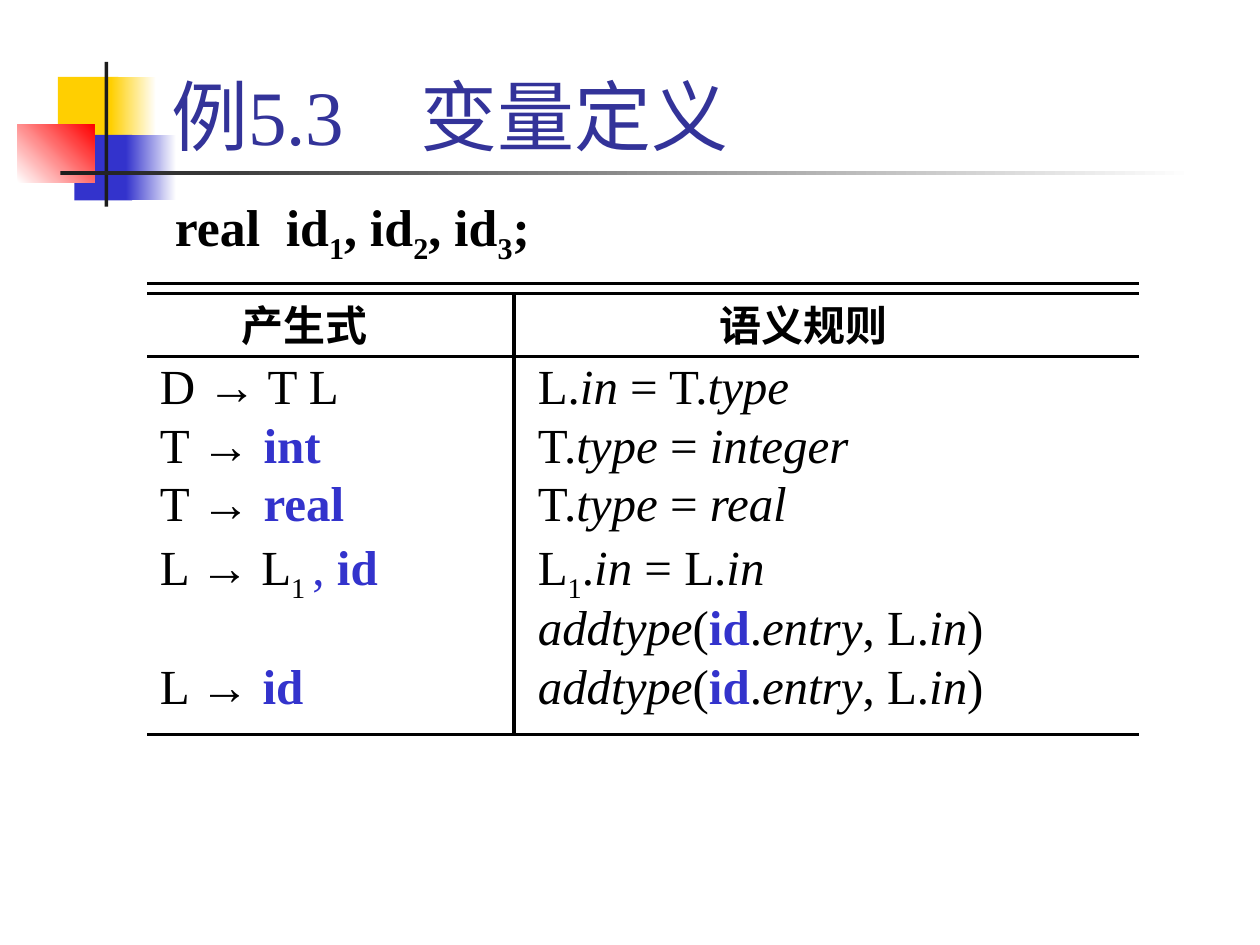
from lxml.etree import SubElement as Sub
from pptx import Presentation
from pptx.dml.color import RGBColor as RGB
from pptx.enum.shapes import MSO_CONNECTOR as LINK, MSO_SHAPE as SHAPE
from pptx.enum.text import MSO_ANCHOR as ANCHOR, PP_ALIGN as ALIGN
from pptx.oxml.ns import qn
from pptx.util import Inches, Pt

COLORS = {
    "gold": "FFCF01", "blue": "3333CC", "red": "FF0000", "white": "FFFFFF",
    "dark": "1C1C1C", "title": "333399", "black": "000000",
}

# Run styles for the grammar and its rules
STYLES = {
    "plain": {},
    "ital": {"italic": True},
    "key": {"bold": True, "color": "blue"},
    "mark": {"color": "blue"},
    "sub": {"base": -25},
    "arrow": {"font": "Arial"},
}

ARROW = ("→ ", "arrow")
CALL = [("addtype", "ital"), ("(", "plain"), ("id", "key"), (".", "plain"),
        ("entry", "ital"), (", L.", "plain"), ("in", "ital"), (")", "plain")]
TYPE = [("T.", "plain"), ("type", "ital"), (" = ", "plain")]

# Each row: production, semantic rule
ROWS = [
    ([("D ", "plain"), ("→", "arrow"), (" T L", "plain")],
     [("L.", "plain"), ("in", "ital"), (" = T.", "plain"), ("type", "ital")]),
    ([("T ", "plain"), ARROW, ("int", "key")], TYPE + [("integer", "ital")]),
    ([("T ", "plain"), ARROW, ("real", "key")], TYPE + [("real", "ital")]),
    ([("L ", "plain"), ("→", "arrow"), (" L", "plain"), ("1 ", "sub"),
      (", ", "mark"), ("id", "key")],
     [("L", "plain"), ("1", "sub"), (".", "plain"), ("in", "ital"),
      (" = L.", "plain"), ("in", "ital")]),
    ([], CALL),
    ([("L ", "plain"), ARROW, ("id", "key")], CALL),
]


def rgb(name):
    return RGB.from_string(COLORS[name])


def write(para, text, size=28, font="Times New Roman", color="black",
          bold=False, italic=False, base=0):
    """Add one run; base is the baseline shift in percent."""
    run = para.add_run()
    run.text = text
    face = run.font
    face.size, face.name = Pt(size), font
    face.bold, face.italic = bold, italic
    face.color.rgb = rgb(color)
    if base:
        run._r.get_or_add_rPr().set("baseline", str(base * 1000))


def set_tab(para, pos):
    tabs = Sub(para._p.get_or_add_pPr(), qn("a:tabLst"))
    Sub(tabs, qn("a:tab"), pos=str(Inches(pos)), algn="l")


class Deck:
    """Holds the presentation and the slide being drawn."""

    def __init__(self):
        self.prs = Presentation()
        self.prs.slide_width, self.prs.slide_height = Inches(10), Inches(7.5)
        self.slide = self.prs.slides.add_slide(self.prs.slide_layouts[6])

    def block(self, x, y, w, h, color, end=None, angle=0):
        """Draw a rectangle, fading from color to end if end is given."""
        box = self.slide.shapes.add_shape(
            SHAPE.RECTANGLE, Inches(x), Inches(y), Inches(w), Inches(h))
        box.shadow.inherit = False
        box.line.fill.background()
        if end:
            box.fill.gradient()
            box.fill.gradient_angle = angle
            for stop, name, pos in zip(box.fill.gradient_stops, (color, end), (0, 1)):
                stop.color.rgb, stop.position = rgb(name), pos
        else:
            box.fill.solid()
            box.fill.fore_color.rgb = rgb(color)

    def rule(self, x1, y1, x2, y2):
        line = self.slide.shapes.add_connector(
            LINK.STRAIGHT, Inches(x1), Inches(y1), Inches(x2), Inches(y2))
        line.line.color.rgb, line.line.width = rgb("black"), Pt(2)
        Sub(line._element.spPr, qn("a:effectLst"))

    def label(self, x, y, w, h, anchor=ANCHOR.TOP, align=ALIGN.LEFT):
        """Add an empty text box and return its text frame."""
        frame = self.slide.shapes.add_textbox(
            Inches(x), Inches(y), Inches(w), Inches(h)).text_frame
        frame.word_wrap = True
        frame.vertical_anchor = anchor
        frame.paragraphs[0].alignment = align
        return frame

    def grammar(self, x, y, w, h, tab):
        """Write productions, with their rules at the tab stop."""
        frame = self.label(x, y, w, h)
        for i, (left, right) in enumerate(ROWS):
            para = frame.add_paragraph() if i else frame.paragraphs[0]
            para.line_spacing = 0.89
            para.space_before = Pt(3.5 if i else 0)
            set_tab(para, tab)
            for text, style in left + [("\t", "plain")] + right:
                write(para, text, **STYLES[style])


def main():
    deck = Deck()

    deck.block(0.46, 0.61, 0.48, 0.52, "gold")
    deck.block(0.88, 0.61, 0.36, 0.52, "gold", "white")
    deck.block(0.59, 1.07, 0.46, 0.52, "blue")
    deck.block(1, 1.07, 0.4, 0.52, "blue", "white")
    deck.block(0.14, 0.99, 0.61, 0.46, "white", "red", 45)
    deck.block(0.83, 0.49, 0.03, 1.15, "dark")
    deck.block(0.48, 1.36, 9, 0.03, "dark", "white")

    title = deck.label(1.26, 0.08, 8.52, 1.25, ANCHOR.BOTTOM).paragraphs[0]
    set_tab(title, 1.98)
    write(title, "例5.3\t变量定义", size=44, color="title")

    code = deck.label(1.29, 1.5, 8.5, 0.67).paragraphs[0]
    set_tab(code, 0.88)
    write(code, "real\t", size=29.6, bold=True)
    for num, end in (("1", ", "), ("2", ", "), ("3", ";")):
        for text, base in (("id", 0), (num, -25), (end, 0)):
            write(code, text, size=29.6, bold=True, base=base)

    left, right, top, head, foot = 1.17, 9.04, 2.33, 2.83, 5.83
    for y in (2.25, top, head, foot):
        deck.rule(left, y, right, y)
    deck.rule(4.08, top, 4.08, foot)

    deck.grammar(left, head, 7.75, 2.9, tab=3)
    for x, w, text in ((1.67, 1.5, "产生式"), (5.5, 1.75, "语义规则")):
        para = deck.label(x, top, w, 0.5, align=ALIGN.CENTER).paragraphs[0]
        write(para, text, size=24, bold=True)

    deck.prs.save("out.pptx")


if __name__ == "__main__":
    main()
